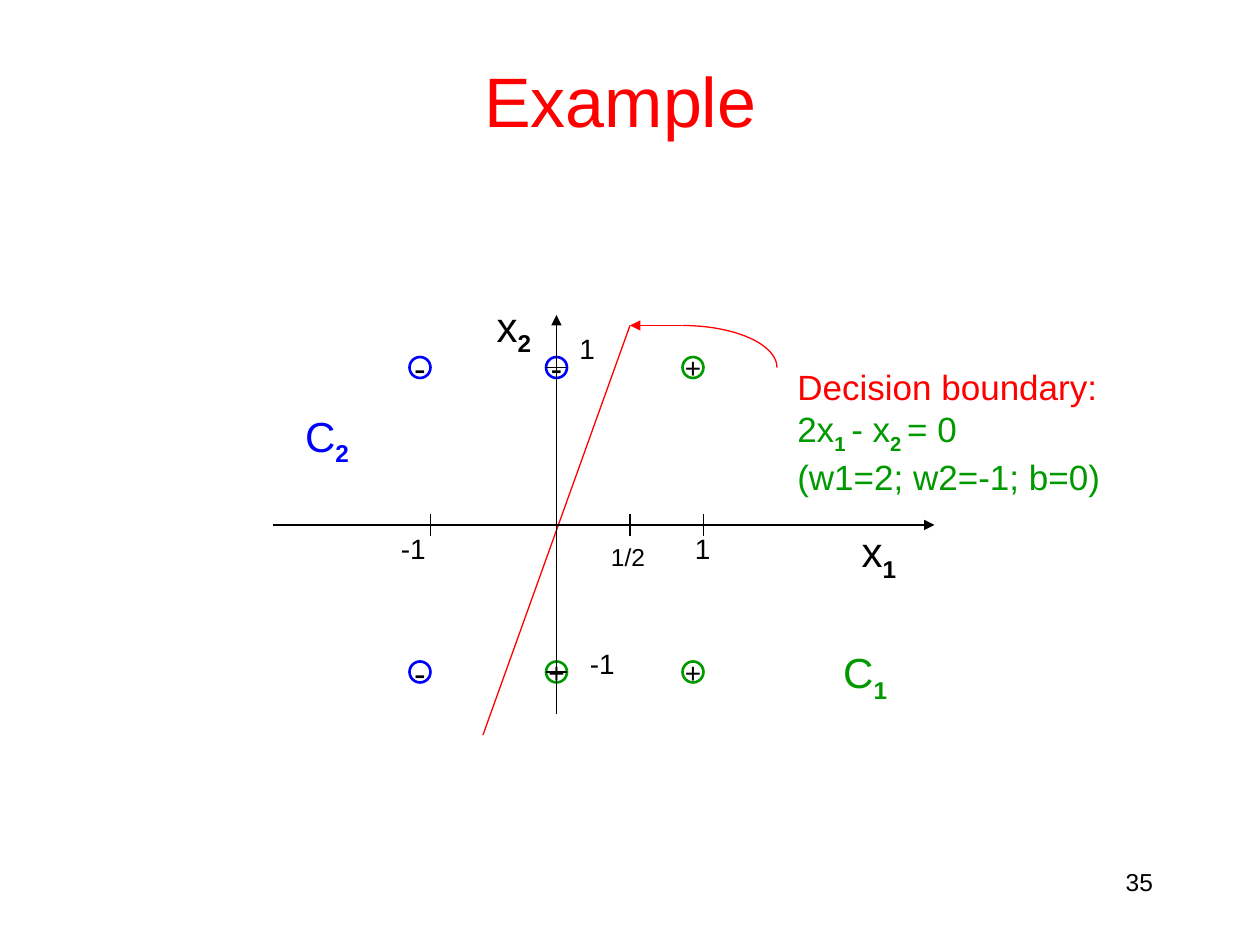
from math import cos, pi, sin
from typing import NamedTuple

from pptx import Presentation
from pptx.dml.color import RGBColor
from pptx.enum.shapes import MSO_CONNECTOR, MSO_SHAPE
from pptx.enum.text import MSO_ANCHOR, MSO_AUTO_SIZE, PP_ALIGN
from pptx.oxml.ns import qn
from pptx.util import Pt
from lxml.etree import SubElement

PX = 9525
FONT = "Arial"
BLACK, RED, BLUE, GREEN = "000000", "FF0000", "0000FF", "009900"
ORIGIN_X, ORIGIN_Y = 424, 400
COLUMNS = (320, 424, 528)
TOP_ROW, BOTTOM_ROW = 280, 512
DIAMETER = 16
HALF_TICK = 8
ARC_SEGMENTS = 24


class Sample(NamedTuple):
    x: int
    y: int
    positive: bool


class Line(NamedTuple):
    x1: int
    y1: int
    x2: int
    y2: int
    color: str = BLACK
    arrow: bool = False


class Label(NamedTuple):
    x: int
    y: int
    width: int
    height: int
    size: int
    text: str
    subscript: str = ""
    color: str = BLACK


SAMPLES = [
    Sample(COLUMNS[0], TOP_ROW, False),
    Sample(COLUMNS[1], TOP_ROW, False),
    Sample(COLUMNS[2], TOP_ROW, True),
    Sample(COLUMNS[0], BOTTOM_ROW, False),
    Sample(COLUMNS[1], BOTTOM_ROW, True),
    Sample(COLUMNS[2], BOTTOM_ROW, True),
]
BOUNDARY = Line(480, 248, 368, 560, RED)
AXES = [
    Line(ORIGIN_X, 544, ORIGIN_X, 240, arrow=True),
    Line(208, ORIGIN_Y, 712, ORIGIN_Y, arrow=True),
]
TICKS = [
    Line(x, ORIGIN_Y - HALF_TICK, x, ORIGIN_Y + HALF_TICK) for x in (328, 480, 536)
] + [
    Line(ORIGIN_X - HALF_TICK, y, ORIGIN_X + HALF_TICK, y)
    for y in (TOP_ROW, BOTTOM_ROW)
]
POINTER = Line(520, 248, 480, 248, RED, arrow=True)
LABELS = [
    Label(647, 396, 47, 54, 24, "x", "1"),
    Label(369, 224, 47, 54, 24, "x", "2"),
    Label(223, 308, 54, 54, 24, "C", "2", BLUE),
    Label(633, 488, 54, 54, 24, "C", "1", GREEN),
    Label(520, 400, 31, 36, 16, "1"),
    Label(432, 248, 31, 36, 16, "1"),
    Label(440, 488, 39, 36, 16, "-1"),
    Label(296, 400, 39, 36, 16, "-1"),
    Label(456, 408, 45, 33, 14, "1/2"),
]
EQUATION = [
    (RED, [("Decision boundary:", False)]),
    (GREEN, [("2x", False), ("1 ", True), ("- x", False), ("2 ", True), ("= 0", False)]),
    (GREEN, [("(w1=2; w2=-1; b=0)", False)]),
]


def rgb(color: str) -> RGBColor:
    return RGBColor.from_string(color)


def style(para, size: int, color: str, align=PP_ALIGN.LEFT) -> None:
    para.alignment = align
    para.font.name = FONT
    para.font.size = Pt(size)
    para.font.color.rgb = rgb(color)


def add_span(para, text: str, subscript: bool = False) -> None:
    span = para.add_run()
    span.text = text
    if subscript:
        span.font.bold = True
        span._r.get_or_add_rPr().set("baseline", "-25000")


def add_box(page, x: int, y: int, width: int, height: int):
    box = page.shapes.add_textbox(x * PX, y * PX, width * PX, height * PX)
    box.text_frame.word_wrap = False
    box.text_frame.auto_size = MSO_AUTO_SIZE.SHAPE_TO_FIT_TEXT
    return box


def draw_line(page, line: Line) -> None:
    connector = page.shapes.add_connector(
        MSO_CONNECTOR.STRAIGHT, line.x1 * PX, line.y1 * PX, line.x2 * PX, line.y2 * PX
    )
    connector.line.color.rgb = rgb(line.color)
    connector.line.width = Pt(0.75)
    if line.arrow:
        SubElement(connector.line._get_or_add_ln(), qn("a:tailEnd"), type="triangle")
    SubElement(connector._element.spPr, qn("a:effectLst"))


def draw_sample(page, sample: Sample) -> None:
    radius = DIAMETER // 2
    circle = page.shapes.add_shape(
        MSO_SHAPE.OVAL,
        (sample.x - radius) * PX,
        (sample.y - radius) * PX,
        DIAMETER * PX,
        DIAMETER * PX,
    )
    circle.shadow.inherit = False
    circle.fill.solid()
    circle.fill.fore_color.rgb = rgb("FFFFFF")
    circle.line.color.rgb = rgb(GREEN if sample.positive else BLUE)
    circle.line.width = Pt(1.5)
    frame = circle.text_frame
    frame.word_wrap = False
    frame.vertical_anchor = MSO_ANCHOR.MIDDLE
    para = frame.paragraphs[0]
    style(para, 16 if sample.positive else 20, BLACK, PP_ALIGN.CENTER)
    add_span(para, "+" if sample.positive else "-")


def draw_label(page, label: Label) -> None:
    box = add_box(page, label.x, label.y, label.width, label.height)
    para = box.text_frame.paragraphs[0]
    style(para, label.size, label.color)
    add_span(para, label.text)
    if label.subscript:
        add_span(para, label.subscript, True)


def draw_arc(page, center_x: int, center_y: int, radius_x: int, radius_y: int) -> None:
    angles = [step * pi / 2 / ARC_SEGMENTS for step in range(ARC_SEGMENTS + 1)]
    points = [
        (
            round((center_x + radius_x * sin(angle)) * PX),
            round((center_y - radius_y * cos(angle)) * PX),
        )
        for angle in angles
    ]
    builder = page.shapes.build_freeform(*points[0])
    builder.add_line_segments(points[1:], close=False)
    arc = builder.convert_to_shape()
    arc.shadow.inherit = False
    arc.fill.background()
    arc.line.color.rgb = rgb(RED)
    arc.line.width = Pt(0.75)


def draw_equation(page) -> None:
    frame = add_box(page, 598, 274, 250, 110).text_frame
    for index, (color, spans) in enumerate(EQUATION):
        para = frame.add_paragraph() if index else frame.paragraphs[0]
        style(para, 20, color)
        for text, subscript in spans:
            add_span(para, text, subscript)


def draw_title(page) -> None:
    title = page.shapes.title
    title.left, title.top, title.width, title.height = (
        length * PX for length in (32, 16, 896, 120)
    )
    title.text_frame.auto_size = MSO_AUTO_SIZE.NONE
    title.text_frame.vertical_anchor = MSO_ANCHOR.MIDDLE
    para = title.text_frame.paragraphs[0]
    style(para, 40, RED, PP_ALIGN.CENTER)
    add_span(para, "Example ")


def draw_page_number(page) -> None:
    box = add_box(page, 688, 656, 200, 48)
    box.text_frame.word_wrap = True
    box.text_frame.auto_size = MSO_AUTO_SIZE.NONE
    para = box.text_frame.paragraphs[0]
    style(para, 14, BLACK, PP_ALIGN.RIGHT)
    add_span(para, "35")


def main() -> None:
    deck = Presentation()
    deck.slide_width, deck.slide_height = 960 * PX, 720 * PX
    page = deck.slides.add_slide(deck.slide_layouts[5])
    draw_page_number(page)
    draw_title(page)
    draw_line(page, BOUNDARY)
    for sample in SAMPLES:
        draw_sample(page, sample)
    for line in AXES + TICKS:
        draw_line(page, line)
    for label in LABELS:
        draw_label(page, label)
    draw_arc(page, 520, 280, 72, 32)
    draw_line(page, POINTER)
    draw_equation(page)
    deck.save("out.pptx")


if __name__ == "__main__":
    main()
